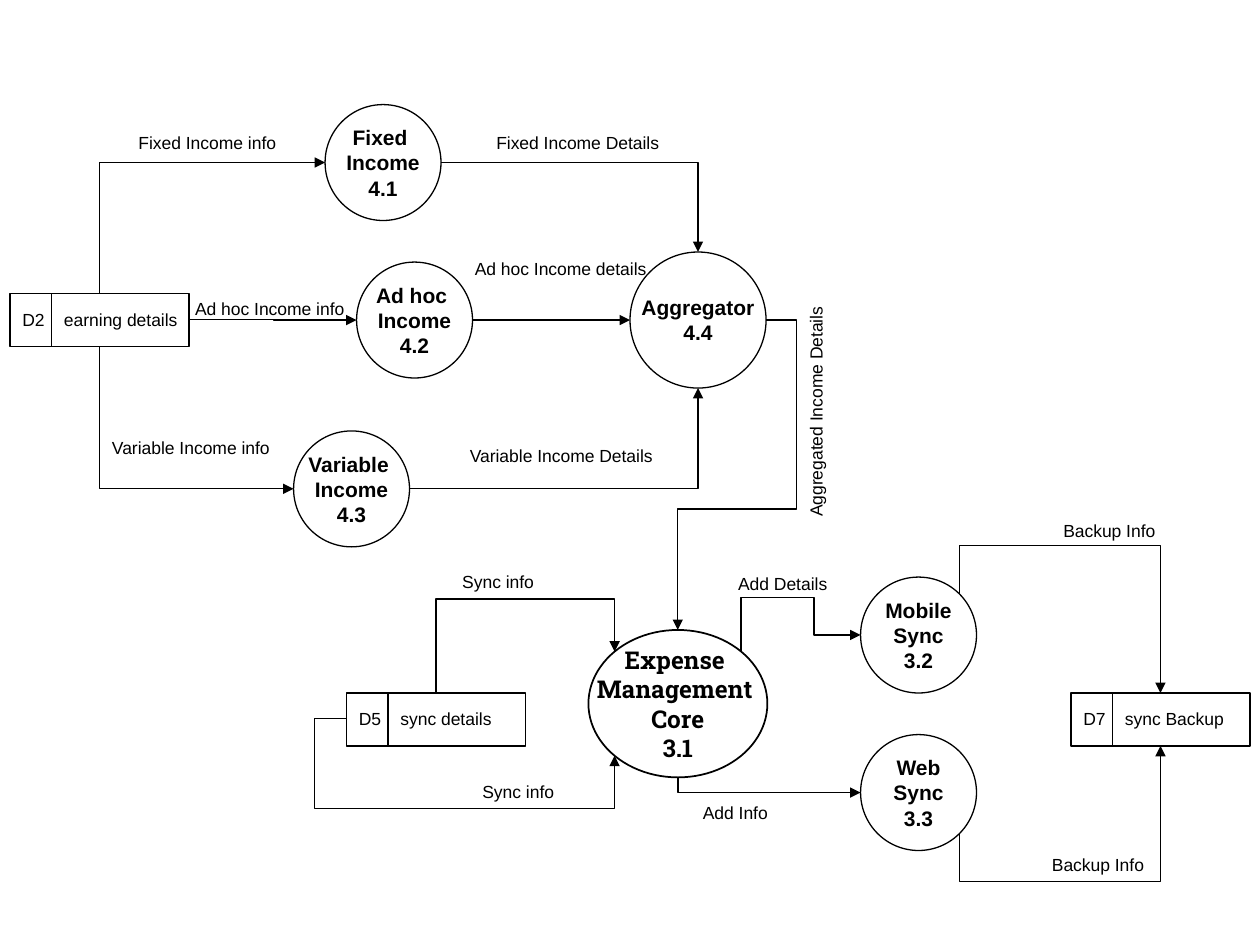
from math import cos, radians, sin

from lxml.etree import SubElement
from pptx import Presentation
from pptx.dml.color import RGBColor
from pptx.enum.shapes import MSO_CONNECTOR, MSO_SHAPE
from pptx.enum.text import MSO_ANCHOR, MSO_AUTO_SIZE, PP_ALIGN
from pptx.oxml.ns import qn
from pptx.util import Cm, Pt

BLACK = RGBColor(0, 0, 0)
THIN, THICK = 0.74, 0.99
CM_PER_UNIT = 2.54
LABEL_HEIGHT = 0.27
STORE_WIDTH, STORE_HEIGHT, STORE_DIVIDER = 1.42, 0.42, 0.33

# key: lines, left, top, width, height
PROCESSES = {
    "4.1": (["Fixed ", "Income", "4.1"], 2.58, 0.83, 0.92, 0.92),
    "4.2": (["Ad hoc ", "Income", "4.2"], 2.83, 2.08, 0.92, 0.92),
    "4.3": (["Variable ", "Income", "4.3"], 2.33, 3.42, 0.92, 0.92),
    "4.4": (["Aggregator", "4.4"], 5, 2, 1.08, 1.08),
    "3.2": (["Mobile", "Sync", "3.2"], 6.83, 4.58, 0.92, 0.92),
    "3.3": (["Web", "Sync", "3.3"], 6.83, 5.83, 0.92, 0.92),
    "3.1": (["Expense ", "Management ", "Core", "3.1"], 4.67, 5, 1.42, 1.17),
}
CORE = "3.1"

# key: name, left, top, text width
STORES = {
    "D2": ("earning details", 0.08, 2.33, 1.43),
    "D7": ("sync Backup", 8.5, 5.5, 1.4),
    "D5": ("sync details", 2.75, 5.5, 1.3),
}

# text, left, top, width, rotation
LABELS = [
    ("Fixed Income info", 1, 1, 1.31, 0),
    ("Ad hoc Income info", 1.45, 2.32, 1.42, 0),
    ("Variable Income info", 0.79, 3.42, 1.48, 0),
    ("Fixed Income Details", 3.84, 1, 1.51, 0),
    ("Ad hoc Income details", 3.67, 2, 1.58, 0),
    ("Variable Income Details", 3.63, 3.48, 1.68, 0),
    ("Sync info", 3.57, 4.48, 0.79, 0),
    ("Sync info", 3.73, 6.15, 0.79, 0),
    ("Add Info", 5.48, 6.32, 0.75, 0),
    ("Add Details", 5.76, 4.5, 0.93, 0),
    ("Backup Info", 8.34, 4.08, 0.95, 0),
    ("Backup Info", 8.25, 6.73, 0.95, 0),
    ("Aggregated Income Details", 5.54, 3.13, 1.87, 270),
]

# start, side, end, side, rotation, flips, bend positions, arrow end
FLOWS = [
    ("D2", "top", "4.1", "left", 90, "HV", [], "tail"),
    ("D2", "bottom", "4.3", "left", 270, "H", [], "tail"),
    ("D2 text", "right", "4.2", "left", 0, "", [0.5], "tail"),
    ("4.1", "right", "4.4", "top", 0, "", [], "tail"),
    ("4.2", "right", "4.4", "left", 0, "", [], "tail"),
    ("4.3", "right", "4.4", "bottom", 0, "V", [], "tail"),
    ("D7", "top", "3.2", "top right", 270, "V", [1.49], "head"),
    ("D7", "bottom", "3.3", "bottom right", 90, "", [1.55], "head"),
    ("3.1", "top left", "D5", "top", 90, "", [-1.27], "head"),
    ("3.1", "bottom left", "D5 text", "left", 270, "V", [-1.42, 1.12], "head"),
    ("3.2", "left", "3.1", "top right", 180, "V", [0.39, -2.27], "head"),
    ("3.3", "left", "3.1", "bottom", 180, "", [], "head"),
    ("4.4", "right", "3.1", "top", 0, "H", [-0.35, 0.61], "tail"),
]
ELLIPSE_SIDES = ["top", "top left", "left", "bottom left",
                 "bottom", "bottom right", "right", "top right"]
BOX_SIDES = ELLIPSE_SIDES[::2]


def lengths(*values):
    """Turn layout units into slide lengths."""
    return [Cm(value * CM_PER_UNIT) for value in values]


def outline(line, width=THIN):
    """Give a line its black stroke."""
    line.color.rgb = BLACK
    line.width = Pt(width)


def add_outlined(shapes, preset, box, width=THIN):
    """Add an unfilled preset shape."""
    shape = shapes.add_shape(preset, *lengths(*box))
    shape.shadow.inherit = False
    shape.fill.background()
    outline(shape.line, width)
    return shape


def format_text(shape, size, font="Arial", bold=False, align=PP_ALIGN.LEFT):
    """Format every run of a shape on unwrapped lines."""
    shape.text_frame.word_wrap = False
    for paragraph in shape.text_frame.paragraphs:
        paragraph.alignment = align
        for run in paragraph.runs:
            run.font.name, run.font.size, run.font.bold = font, Pt(size), bold
            run.font.color.rgb = BLACK


def add_label(shapes, text, left, top, width, rotation=0):
    """Add a small text box."""
    label = shapes.add_textbox(*lengths(left, top, width, LABEL_HEIGHT))
    label.rotation = rotation
    label.text_frame.text = text
    label.text_frame.auto_size = MSO_AUTO_SIZE.SHAPE_TO_FIT_TEXT
    format_text(label, 10)
    return label


def add_process(shapes, key):
    """Add a process circle with its name and number."""
    lines, *box = PROCESSES[key]
    core = key == CORE
    shape = add_outlined(shapes, MSO_SHAPE.OVAL, box, THICK if core else THIN)
    shape.text_frame.text = "\n".join(lines)
    shape.text_frame.vertical_anchor = MSO_ANCHOR.MIDDLE
    format_text(shape, 14 if core else 12, "Roboto Slab" if core else "Arial",
                True, PP_ALIGN.CENTER)
    return shape


def clear_effects(connector):
    """Remove the theme shadow of a connector."""
    SubElement(connector._element.spPr, qn("a:effectLst"))


def add_store(shapes, key):
    """Add a grouped data store and return its box and its text."""
    name, left, top, text_width = STORES[key]
    group = shapes.add_group_shape().shapes
    box = add_outlined(group, MSO_SHAPE.RECTANGLE,
                       (left, top, STORE_WIDTH, STORE_HEIGHT))
    divider_left = left + STORE_DIVIDER
    divider = group.add_connector(MSO_CONNECTOR.STRAIGHT, *lengths(
        divider_left, top, divider_left, top + STORE_HEIGHT))
    outline(divider.line)
    clear_effects(divider)
    text = add_label(group, f"{key}\t{name}", left, top + 0.07, text_width)
    properties = text.text_frame.paragraphs[0]._p.get_or_add_pPr()
    tabs = SubElement(properties, qn("a:tabLst"))
    SubElement(tabs, qn("a:tab"), pos=str(lengths(STORE_DIVIDER)[0]), algn="l")
    return box, text


def find_site(shape, side, is_ellipse):
    """Return the number and the position of a connection site."""
    sides = ELLIPSE_SIDES if is_ellipse else BOX_SIDES
    angle = radians(90 + 45 * ELLIPSE_SIDES.index(side))
    x = shape.left + shape.width / 2 * (1 + cos(angle))
    y = shape.top + shape.height / 2 * (1 - sin(angle))
    return sides.index(side), x, y


def add_flow(shapes, nodes, flow):
    """Add an elbow arrow glued to two nodes."""
    start, start_side, end, end_side, rotation, flips, bends, arrow = flow
    start_site, x1, y1 = find_site(nodes[start], start_side, start in PROCESSES)
    end_site, x2, y2 = find_site(nodes[end], end_side, end in PROCESSES)
    width, height = abs(x2 - x1), abs(y2 - y1)
    if rotation % 180:
        width, height = height, width
    left, top = (x1 + x2 - width) / 2, (y1 + y2 - height) / 2
    connector = shapes.add_connector(
        MSO_CONNECTOR.ELBOW, *map(round, (left, top, left + width, top + height)))
    outline(connector.line)
    SubElement(connector.line._get_or_add_ln(), qn(f"a:{arrow}End"), type="triangle")
    clear_effects(connector)

    element = connector._element
    frame = element.spPr.find(qn("a:xfrm"))
    frame.set("rot", str(rotation * 60000))
    for flip in flips:
        frame.set(f"flip{flip}", "1")
    geometry = element.spPr.find(qn("a:prstGeom"))
    geometry.set("prst", f"bentConnector{len(bends) + 2}")
    guides = geometry.find(qn("a:avLst"))
    for number, bend in enumerate(bends, 1):
        SubElement(guides, qn("a:gd"), name=f"adj{number}",
                   fmla=f"val {round(bend * 100000)}")
    glue = element.find(".//" + qn("p:cNvCxnSpPr"))
    for tag, node, site in (("stCxn", start, start_site), ("endCxn", end, end_site)):
        SubElement(glue, qn(f"a:{tag}"), id=str(nodes[node].shape_id), idx=str(site))


presentation = Presentation()
presentation.slide_width, presentation.slide_height = lengths(10, 7.5)
slide = presentation.slides.add_slide(presentation.slide_layouts[6])
nodes = {key: add_process(slide.shapes, key) for key in PROCESSES}
for key in STORES:
    nodes[key], nodes[f"{key} text"] = add_store(slide.shapes, key)
for flow in FLOWS:
    add_flow(slide.shapes, nodes, flow)
for label in LABELS:
    add_label(slide.shapes, *label)
presentation.save("out.pptx")
